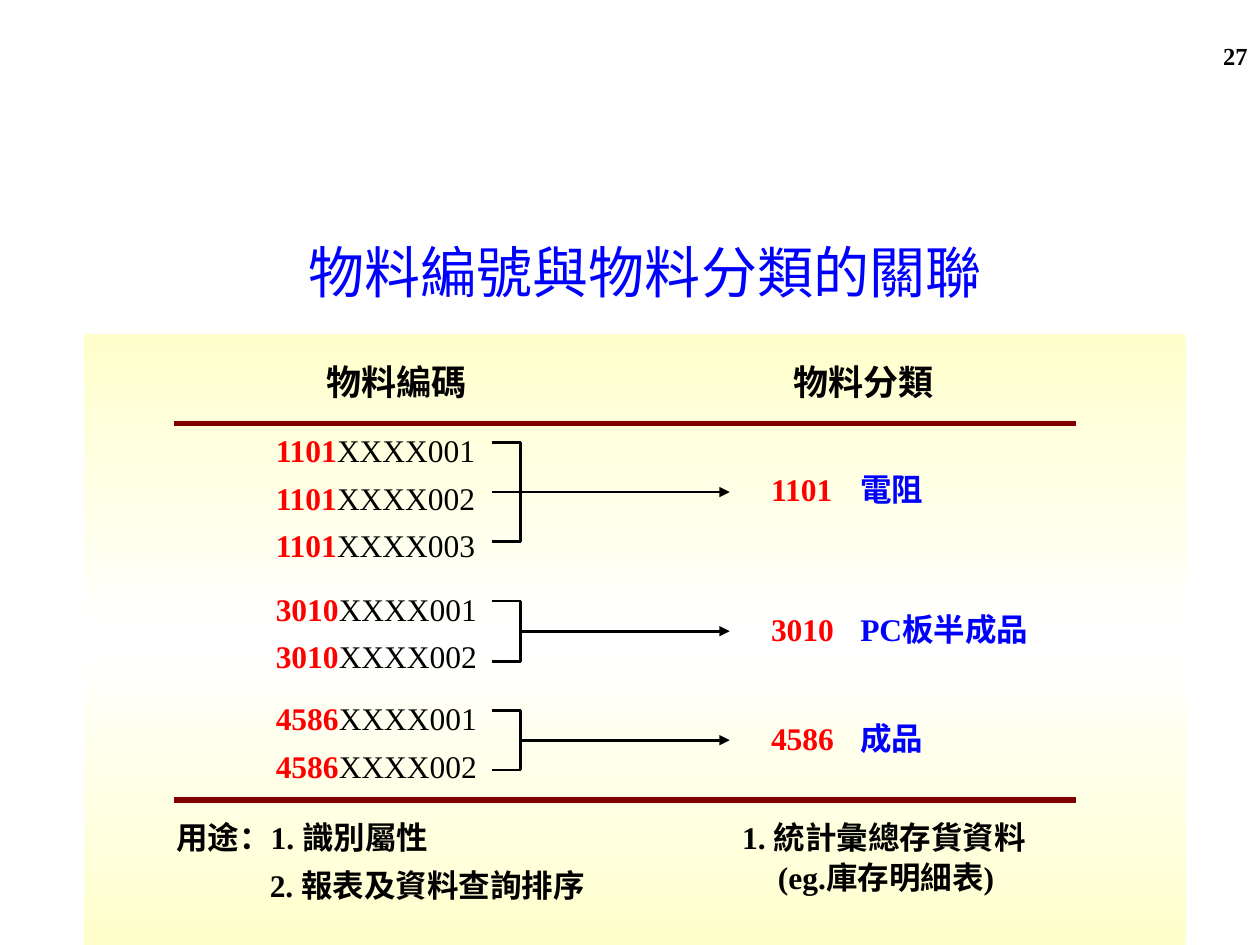
from copy import deepcopy

from pptx import Presentation
from pptx.dml.color import RGBColor
from pptx.enum.shapes import MSO_CONNECTOR as CONN, MSO_SHAPE as SHAPE
from pptx.enum.text import MSO_ANCHOR as ANCHOR, PP_ALIGN as ALIGN
from pptx.oxml.ns import qn
from pptx.util import Pt
from lxml.etree import SubElement

SERIF, SANS, CJK = "Times New Roman", "Arial", "Noto Sans CJK SC"
BLACK, RED, BLUE, MAROON = "000000", "FF0000", "0000FF", "800000"
CREAM, WHITE = "FFFFCC", "FFFFFF"

PAGE_NUMBER = "27"
TITLE = "物料編號與物料分類的關聯"
HEADINGS = [("物料編碼", 178.5), ("物料分類", 445)]  # text, left
RULES = [242, 457.2]
# class code, class name as (text, font) runs, number of items, first and last tick
GROUPS = [
    ("1101", [("電阻", CJK)], 3, 252.8, 309.6),
    ("3010", [("PC", SERIF), ("板半成品", CJK)], 2, 343.4, 378),
    ("4586", [("成品", CJK)], 2, 406, 440),
]
# left, width, lines as (text, indent, space before)
USES = [
    (93.6, 255, [("用途：1. 識別屬性", 0, 4.5), ("2. 報表及資料查詢排序", 53.5, 4.5)]),
    (417, 232.5, [("1. 統計彙總存貨資料", 0, 4.5), ("(eg.庫存明細表)", 20.5, 0)]),
]
USES_TOP = 463
TICK_LEFT, BRACKET_X, ARROW_END = 281, 297.5, 417
CODE_LEFT, CLASS_LEFT, COLUMN_WIDTH = 150.5, 433.5, 181.5
NAME_TAB = 51

prs = Presentation()
prs.slide_width, prs.slide_height = Pt(720), Pt(540)
slide = prs.slides.add_slide(prs.slide_layouts[6])
shapes = slide.shapes


def rgb(hex_code):
    return RGBColor.from_string(hex_code)


def add_box(x, y, w, h, anchor=ANCHOR.TOP):
    tf = shapes.add_textbox(Pt(x), Pt(y), Pt(w), Pt(h)).text_frame
    tf.word_wrap = True
    tf.vertical_anchor = anchor
    return tf


def add_run(p, text, size=18, color=BLACK, bold=True, font=SERIF):
    r = p.add_run()
    r.text = text
    r.font.size, r.font.bold, r.font.name = Pt(size), bold, font
    r.font.color.rgb = rgb(color)
    SubElement(r.font._element, qn("a:ea")).set("typeface", CJK)


def add_label(x, y, w, h, text, align, anchor=ANCHOR.TOP, **style):
    p = add_box(x, y, w, h, anchor).paragraphs[0]
    p.alignment = align
    add_run(p, text, **style)


def next_paragraph(tf, index, before=4.5):
    p = tf.add_paragraph() if index else tf.paragraphs[0]
    p.line_spacing, p.space_before = 1.05, Pt(before)
    return p


def add_line(x1, y1, x2, y2, color=BLACK, width=1.5, arrow=False):
    line = shapes.add_connector(CONN.STRAIGHT, Pt(x1), Pt(y1), Pt(x2), Pt(y2))
    line.line.color.rgb = rgb(color)
    line.line.width = Pt(width)
    if arrow:
        SubElement(line.line._get_or_add_ln(), qn("a:tailEnd")).set("type", "triangle")
    SubElement(line._element.spPr, qn("a:effectLst"))


def add_panel(x, y, w, h):
    """Rectangle shaded from cream to white and back, top to bottom."""
    sp = shapes.add_shape(SHAPE.RECTANGLE, Pt(x), Pt(y), Pt(w), Pt(h))
    sp.shadow.inherit = False
    sp.line.fill.background()
    sp.fill.gradient()
    sp.fill.gradient_angle = 90
    first = sp._element.spPr.find(".//" + qn("a:gs"))
    first.addnext(deepcopy(first))
    for stop, (pos, color) in zip(sp.fill.gradient_stops,
                                  [(0, CREAM), (0.5, WHITE), (1, CREAM)]):
        stop.position = pos
        stop.color.rgb = rgb(color)


def add_group(code, name, count, top, bottom):
    """Item codes, the bracket that joins them and the class they lead to."""
    middle = (top + bottom) / 2
    tf = add_box(CODE_LEFT, top - 11, COLUMN_WIDTH, 28 * count)
    for i in range(count):
        p = next_paragraph(tf, i)
        add_run(p, code, color=RED)
        add_run(p, f"XXXX{i + 1:03d}", bold=False)
        y = top + i * (bottom - top) / (count - 1)
        add_line(TICK_LEFT, y, BRACKET_X, y)
    add_line(BRACKET_X, top, BRACKET_X, bottom)
    add_line(BRACKET_X, middle, ARROW_END, middle, arrow=True)

    p = next_paragraph(add_box(CLASS_LEFT, middle - 17, COLUMN_WIDTH, 30), 0)
    tabs = SubElement(p._p.get_or_add_pPr(), qn("a:tabLst"))
    tab = SubElement(tabs, qn("a:tab"))
    tab.set("pos", str(Pt(NAME_TAB)))
    tab.set("algn", "l")
    add_run(p, code + "\t", color=RED)
    for text, font in name:
        add_run(p, text, color=BLUE, font=font)


add_label(552, 20, 168, 37.5, PAGE_NUMBER, ALIGN.RIGHT, size=14)
add_panel(48, 191, 629.5, 349)
add_label(42.5, 101.5, 652.5, 106.5, TITLE, ALIGN.CENTER, ANCHOR.MIDDLE,
          size=32, color=BLUE, bold=False)
for text, left in HEADINGS:
    add_label(left, 202.5, 96.5, 31, text, ALIGN.CENTER, size=20, font=SANS)
for y in RULES:
    add_line(99.5, y, 615, y, MAROON, 3)
for group in GROUPS:
    add_group(*group)
for left, width, lines in USES:
    tf = add_box(left, USES_TOP, width, 57)
    for i, (text, indent, before) in enumerate(lines):
        p = next_paragraph(tf, i, before)
        p._p.get_or_add_pPr().set("marL", str(Pt(indent)))
        add_run(p, text)

prs.save("out.pptx")
